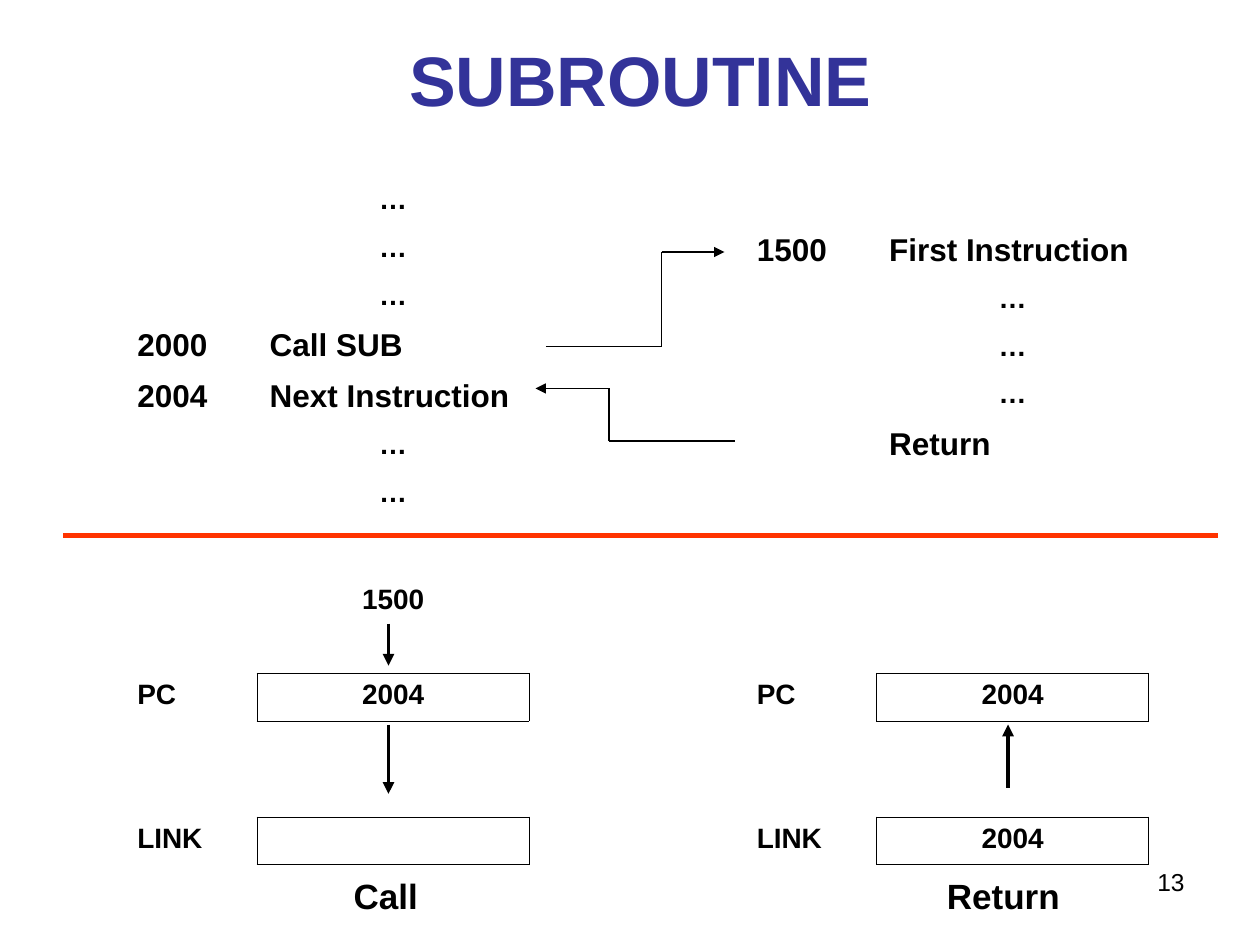
from lxml import etree
from pptx import Presentation
from pptx.dml.color import RGBColor
from pptx.enum.shapes import MSO_CONNECTOR
from pptx.enum.text import MSO_ANCHOR, MSO_AUTO_SIZE, PP_ALIGN
from pptx.oxml.ns import qn
from pptx.util import Inches, Pt

STRAIGHT = MSO_CONNECTOR.STRAIGHT
MIDDLE = MSO_ANCHOR.MIDDLE
GROW, FIXED = MSO_AUTO_SIZE.SHAPE_TO_FIT_TEXT, MSO_AUTO_SIZE.NONE
LEFT, CENTER, RIGHT = PP_ALIGN.LEFT, PP_ALIGN.CENTER, PP_ALIGN.RIGHT
PLAIN_TABLE = "{2D5ABB26-0587-4C30-8999-92F81FD0307C}"
BLACK, NAVY, RED = "000000", "333399", "FF3300"
UNIT = Inches(1) / 12


def grid(*steps):
    return [round(step * UNIT) for step in steps]


def style(paragraph, size, color=BLACK, bold=True, align=LEFT):
    paragraph.alignment = align
    paragraph.font.name = "Arial"
    paragraph.font.size = Pt(size)
    paragraph.font.bold = bold
    paragraph.font.color.rgb = RGBColor.from_string(color)


prs = Presentation()
prs.slide_width, prs.slide_height = grid(120, 90)
slide = prs.slides.add_slide(prs.slide_layouts[5])

title = slide.shapes.title
title.left, title.top, title.width, title.height = grid(10, 3, 102, 9)
title.text_frame.text = "SUBROUTINE"
title.text_frame.vertical_anchor = MIDDLE
style(title.text_frame.paragraphs[0], 40, NAVY, align=CENTER)

dots = ("", "…")
blank = ("", "")
caller = [dots, dots, dots, ("2000", "Call SUB"), ("2004", "Next Instruction"), dots, dots]
routine = [blank, ("1500", "First Instruction"), dots, dots, dots, ("", "Return"), blank]
call_registers = [("", "1500"), blank, ("PC", "2004"), blank, blank, ("LINK", "")]
return_registers = [blank, blank, ("PC", "2004"), blank, blank, ("LINK", "2004")]

for column, row, listing, is_code in (
    (9, 17, caller, True),
    (68, 17, routine, True),
    (9, 55, call_registers, False),
    (68, 55, return_registers, False),
):
    frame = slide.shapes.add_table(
        len(listing), 3, *grid(column, row), Inches(3.45), Inches(0.38 * len(listing))
    )
    table = frame.table
    table.first_row = table.horz_banding = False
    table._tbl.tblPr.find(qn("a:tableStyleId")).text = PLAIN_TABLE
    for table_column, width in zip(table.columns, (0.24, 1.05, 2.16)):
        table_column.width = Inches(width)
    for index, (label, content) in enumerate(listing):
        is_instruction = is_code and content not in ("", "…")
        size = 18 if is_instruction else 16
        table.rows[index].height = Inches(0.4 if is_instruction else 0.38)
        for position, words in enumerate(("", label, content)):
            cell = table.cell(index, position)
            cell.fill.background()
            cell.text = words
            centered = position == 2 and not is_instruction
            paragraph = cell.text_frame.paragraphs[0]
            style(paragraph, size, align=CENTER if centered else LEFT)
            paragraph.space_before = Pt(size / 4)
            if not words:
                cell.margin_top = cell.margin_bottom = 0
        if label and not is_code:
            box = table.cell(index, 2)._tc.get_or_add_tcPr()
            for order, side in enumerate(("a:lnL", "a:lnR", "a:lnT", "a:lnB")):
                border = etree.Element(qn(side), w=str(Pt(0.45)))
                fill = etree.SubElement(border, qn("a:solidFill"))
                etree.SubElement(fill, qn("a:srgbClr"), val=BLACK)
                box.insert(order, border)

for route, color, weight, has_head in (
    ([(52, 33), (63, 33), (63, 24), (69, 24)], BLACK, 0.75, True),
    ([(70, 42), (58, 42), (58, 37), (51, 37)], BLACK, 0.75, True),
    ([(37, 59.4), (37, 63.4)], BLACK, 2.25, True),
    ([(37, 69), (37, 75.6)], BLACK, 2.25, True),
    ([(96, 75), (96, 69)], BLACK, 2.25, True),
    ([(6, 51), (116, 51)], RED, 3, False),
):
    for start, end in zip(route, route[1:]):
        segment = slide.shapes.add_connector(STRAIGHT, *grid(*start, *end))
        segment.line.color.rgb = RGBColor.from_string(color)
        segment.line.width = Pt(weight)
        etree.SubElement(segment._element.spPr, qn("a:effectLst"))
    if has_head:
        etree.SubElement(segment.line._get_or_add_ln(), qn("a:tailEnd"), type="triangle")

for words, place, size, bold, align, fit in (
    ("Call", (32.5, 82.7, 8.5, 5.3), 20, True, LEFT, GROW),
    ("Return", (89, 82.7, 13.5, 5.3), 20, True, LEFT, GROW),
    ("13", (86, 82, 28, 6.2), 14, False, RIGHT, FIXED),
):
    caption = slide.shapes.add_textbox(*grid(*place)).text_frame
    caption.auto_size = fit
    caption.word_wrap = fit == FIXED
    caption.text = words
    style(caption.paragraphs[0], size, bold=bold, align=align)

prs.save("out.pptx")
